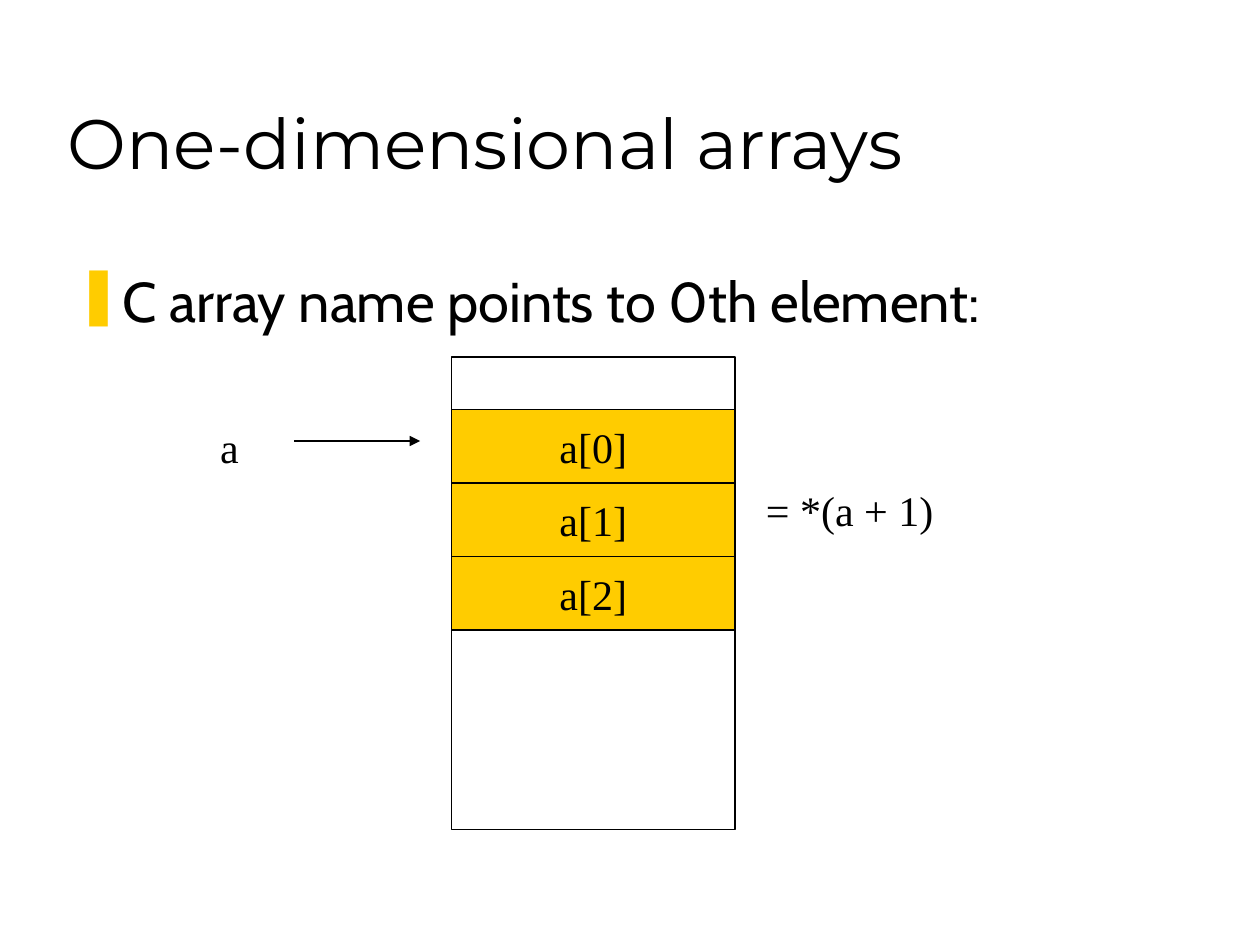
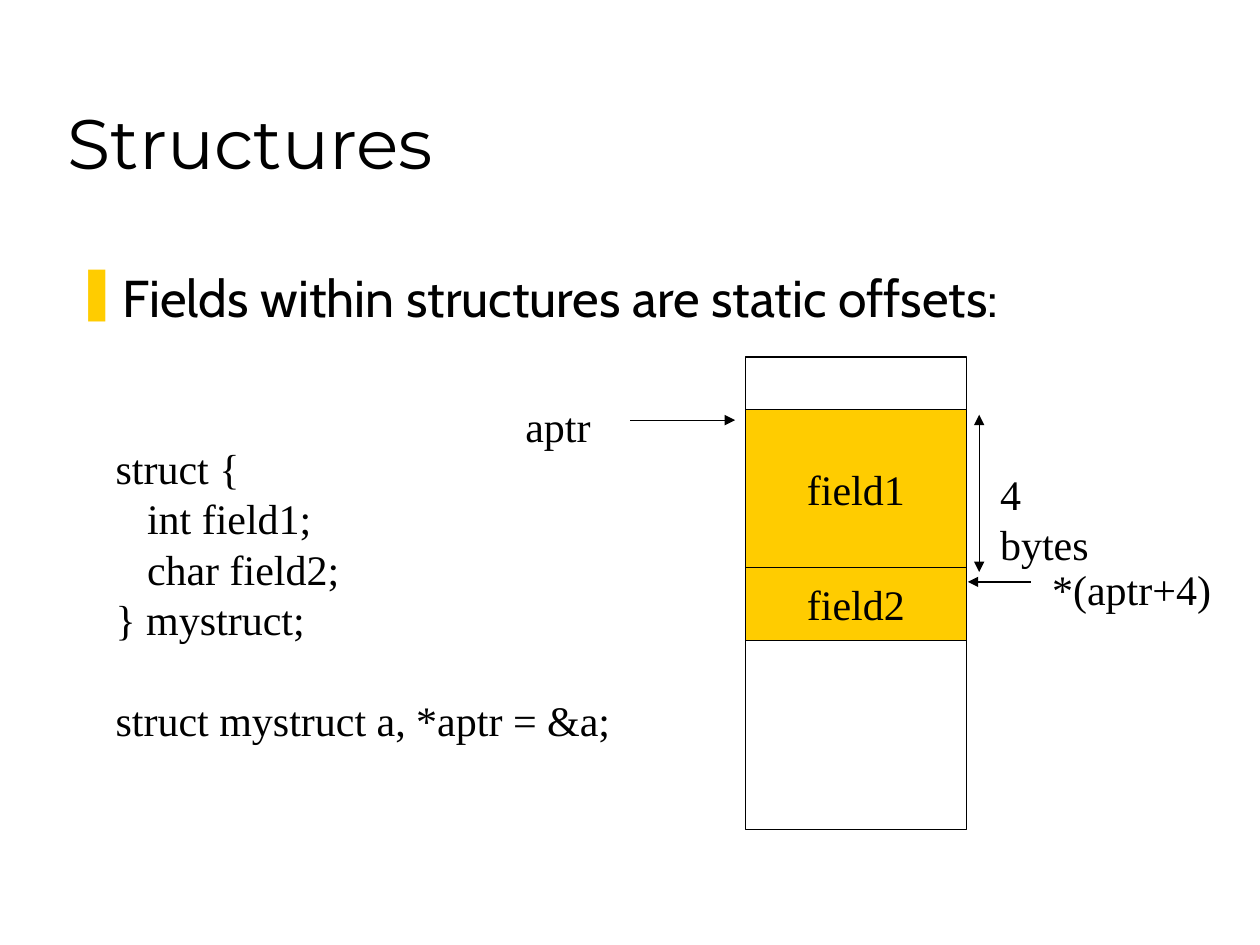
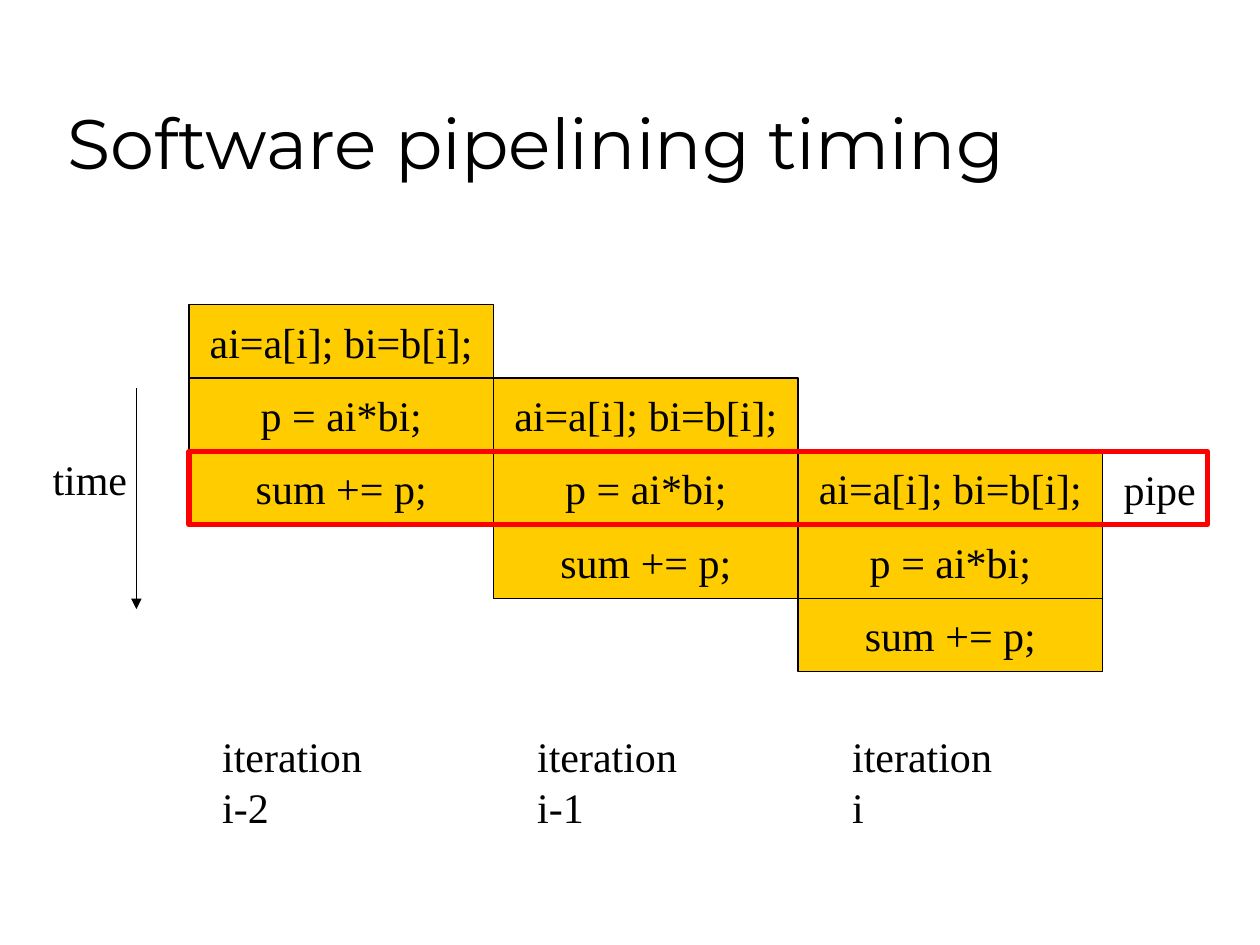
"""Build three slides on memory layout and software pipelining."""
from dataclasses import dataclass
from typing import NamedTuple

from lxml import etree
from pptx import Presentation
from pptx.dml.color import RGBColor
from pptx.enum.shapes import MSO_CONNECTOR, MSO_SHAPE
from pptx.enum.text import MSO_ANCHOR, MSO_AUTO_SIZE, PP_ALIGN
from pptx.oxml.ns import qn
from pptx.util import Cm, Pt

LEFT, CENTER = PP_ALIGN.LEFT, PP_ALIGN.CENTER
TOP, MIDDLE, BOTTOM = MSO_ANCHOR.TOP, MSO_ANCHOR.MIDDLE, MSO_ANCHOR.BOTTOM
FIT_SHAPE, NO_FIT = MSO_AUTO_SIZE.SHAPE_TO_FIT_TEXT, MSO_AUTO_SIZE.NONE
RECTANGLE, STRAIGHT = MSO_SHAPE.RECTANGLE, MSO_CONNECTOR.STRAIGHT
TITLE_ONLY = 5


@dataclass(frozen=True)
class Theme:
    """Colours, fonts and type sizes shared by the slides."""
    ink: str = "000000"
    accent: str = "FFCC00"
    highlight: str = "FF0000"
    title_font: str = "Montserrat"
    body_font: str = "Cabin"
    diagram_font: str = "Times New Roman"
    title_size: float = 40
    diagram_size: float = 24
    thin_line: float = 0.75
    thick_line: float = 3


class Box(NamedTuple):
    """A rectangle in centimetres."""
    left: float
    top: float
    width: float
    height: float

    def inner(self, left, top, width, height):
        """Return a box offset from the corner of this one."""
        return Box(self.left + left, self.top + top, width, height)

    def lengths(self):
        """Return the four measures as slide lengths."""
        return [Cm(value) for value in self]


THEME = Theme()
TITLE_BOX = Box(1.11, 0.64, 21.59, 3.18)
BULLET_BOX = Box(1.27, 5.24, 22.7, 1.95)
CELL_HEIGHT = 1.48
LABEL_HEIGHT = 1.27
MEMORY_START = 1.06
STAGES = ["ai=a[i]; bi=b[i];", "p = ai*bi;", "sum += p;"]


def write_text(frame, text, *, font=THEME.diagram_font, size=THEME.diagram_size,
               align=LEFT, anchor=TOP, wrap=False, fit=NO_FIT, bullet=None, gaps=()):
    """Fill a text frame with one formatted paragraph per line."""
    frame.word_wrap, frame.auto_size, frame.vertical_anchor = wrap, fit, anchor
    for index, line in enumerate(text.split("\n")):
        paragraph = frame.add_paragraph() if index else frame.paragraphs[0]
        paragraph.text = line
        paragraph.alignment = align
        if bullet:
            add_bullet(paragraph, bullet)
        if index in gaps:
            paragraph.space_before = Pt(size * 1.2)
        paragraph.font.name = font
        paragraph.font.size = Pt(size)
        paragraph.font.color.rgb = RGBColor.from_string(THEME.ink)


def add_bullet(paragraph, symbol):
    """Give a paragraph an accent bullet and a hanging indent."""
    properties = paragraph._p.get_or_add_pPr()
    properties.set("marL", str(Cm(0.95)))
    properties.set("indent", str(Cm(-0.95)))
    color = etree.SubElement(properties, qn("a:buClr"))
    etree.SubElement(color, qn("a:srgbClr"), val=THEME.accent)
    etree.SubElement(properties, qn("a:buChar"), char=symbol)


def add_label(slide, text, box, **text_format):
    """Add a text box that fits its text."""
    label = slide.shapes.add_textbox(*box.lengths())
    write_text(label.text_frame, text, fit=FIT_SHAPE, **text_format)


def add_rectangle(slide, box, text="", fill=None, line=THEME.ink, weight=THEME.thin_line):
    """Add an outlined rectangle with optional fill and centred text."""
    shape = slide.shapes.add_shape(RECTANGLE, *box.lengths())
    shape.shadow.inherit = False
    if fill:
        shape.fill.solid()
        shape.fill.fore_color.rgb = RGBColor.from_string(fill)
    else:
        shape.fill.background()
    shape.line.color.rgb = RGBColor.from_string(line)
    shape.line.width = Pt(weight)
    if text:
        write_text(shape.text_frame, text, align=CENTER, anchor=MIDDLE)


def add_arrow(slide, box, start, end, both_ends=False):
    """Draw an arrow between two points given relative to a box."""
    points = [Cm(value) for x, y in (start, end) for value in (box.left + x, box.top + y)]
    arrow = slide.shapes.add_connector(STRAIGHT, *points)
    arrow.line.color.rgb = RGBColor.from_string(THEME.ink)
    arrow.line.width = Pt(THEME.thin_line)
    outline = arrow.line._get_or_add_ln()
    for name in ("a:headEnd", "a:tailEnd") if both_ends else ("a:tailEnd",):
        etree.SubElement(outline, qn(name), type="triangle")
    etree.SubElement(arrow._element.spPr, qn("a:effectLst"))


def add_titled_slide(presentation, title):
    """Add a slide with the shared title style."""
    slide = presentation.slides.add_slide(presentation.slide_layouts[TITLE_ONLY])
    shape = slide.shapes.title
    shape.left, shape.top, shape.width, shape.height = TITLE_BOX.lengths()
    write_text(shape.text_frame, title, font=THEME.title_font, size=THEME.title_size,
               anchor=BOTTOM, wrap=True)
    return slide


def add_statement(slide, text, size):
    """Add the bulleted statement below the title."""
    add_label(slide, text, BULLET_BOX, font=THEME.body_font, size=size, wrap=True, bullet="❚")


def add_memory(slide, box, cells):
    """Stack named cells of given heights inside a memory outline."""
    top = MEMORY_START
    for name, height in cells:
        add_rectangle(slide, box.inner(0, top, box.width, height), name, THEME.accent)
        top += height
    add_rectangle(slide, box)


def add_pipeline(slide, box, iterations):
    """Draw overlapping iterations as a staircase of stages in a box."""
    column_width = box.width / len(iterations)
    for column, (name, label_width) in enumerate(iterations):
        for row, stage in enumerate(STAGES, column):
            cell = box.inner(column * column_width, row * CELL_HEIGHT, column_width, CELL_HEIGHT)
            add_rectangle(slide, cell, stage, THEME.accent)
        add_label(slide, name, box.inner(0.42 + column * 6.35, 8.47, label_width, LABEL_HEIGHT))
    add_rectangle(slide, box.inner(0, 2 * CELL_HEIGHT, 20.53, CELL_HEIGHT),
                  line=THEME.highlight, weight=THEME.thick_line)
    add_label(slide, "pipe", box.inner(18.59, 3.08, 1.96, LABEL_HEIGHT))
    add_arrow(slide, box, (-1.06, 1.69), (-1.06, 6.14))
    add_label(slide, "time", box.inner(-3, 2.88, 2.01, LABEL_HEIGHT))


def build_arrays_slide(presentation):
    """Build the slide on one-dimensional arrays."""
    slide = add_titled_slide(presentation, "One-dimensional arrays")
    add_statement(slide, "C array name points to 0th element:", 32)
    memory = Box(9.1, 7.2, 5.72, 9.53)
    add_memory(slide, memory, [(f"a[{index}]", CELL_HEIGHT) for index in range(3)])
    add_arrow(slide, memory, (-3.17, 1.69), (-0.63, 1.69))
    add_label(slide, "a", memory.inner(-4.91, 1.18, 0.89, LABEL_HEIGHT))
    add_label(slide, "= *(a + 1)", memory.inner(6.09, 2.45, 3.89, LABEL_HEIGHT))


def build_structures_slide(presentation):
    """Build the slide on structures."""
    slide = add_titled_slide(presentation, "Structures")
    add_statement(slide, "Fields within structures are static offsets:", 29.6)
    memory = Box(15.03, 7.2, 4.45, 9.53)
    add_memory(slide, memory, [("field1", 3.18), ("field2", CELL_HEIGHT)])
    add_arrow(slide, memory, (-2.33, 1.27), (-0.21, 1.27))
    add_label(slide, "aptr", memory.inner(-4.69, 0.75, 1.83, LABEL_HEIGHT))
    code = ("struct {\n   int field1;\n   char field2;\n} mystruct;\n"
            "struct mystruct a, *aptr = &a;")
    add_label(slide, code, Box(2.08, 8.79, 10.49, 7.37), gaps=(4,))
    add_arrow(slide, memory, (4.71, 1.16), (4.71, 4.33), both_ends=True)
    add_label(slide, "4 bytes", memory.inner(4.88, 2.12, 2.92, LABEL_HEIGHT))
    add_arrow(slide, memory, (5.75, 4.53), (4.48, 4.53))
    add_label(slide, "*(aptr+4)", memory.inner(5.93, 4.03, 3.71, LABEL_HEIGHT))


def build_pipelining_slide(presentation):
    """Build the slide on software pipelining."""
    slide = add_titled_slide(presentation, "Software pipelining timing")
    add_pipeline(slide, Box(3.81, 6.14, 18.42, 7.4),
                 [("iteration i-2", 4.47), ("iteration i-1", 4.47), ("iteration i", 3.76)])


def main():
    """Build and save the presentation."""
    presentation = Presentation()
    presentation.slide_width, presentation.slide_height = Cm(25.4), Cm(19.05)
    build_arrays_slide(presentation)
    build_structures_slide(presentation)
    build_pipelining_slide(presentation)
    presentation.save("out.pptx")


if __name__ == "__main__":
    main()
